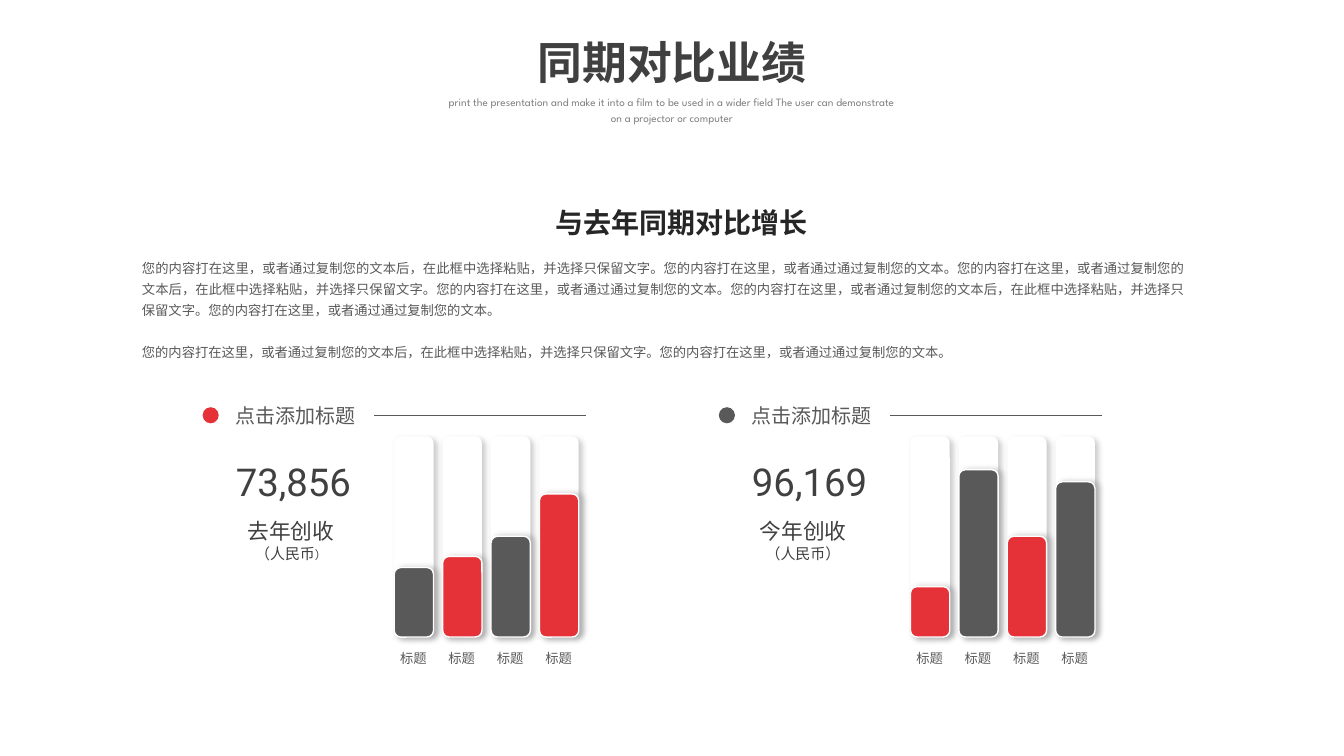
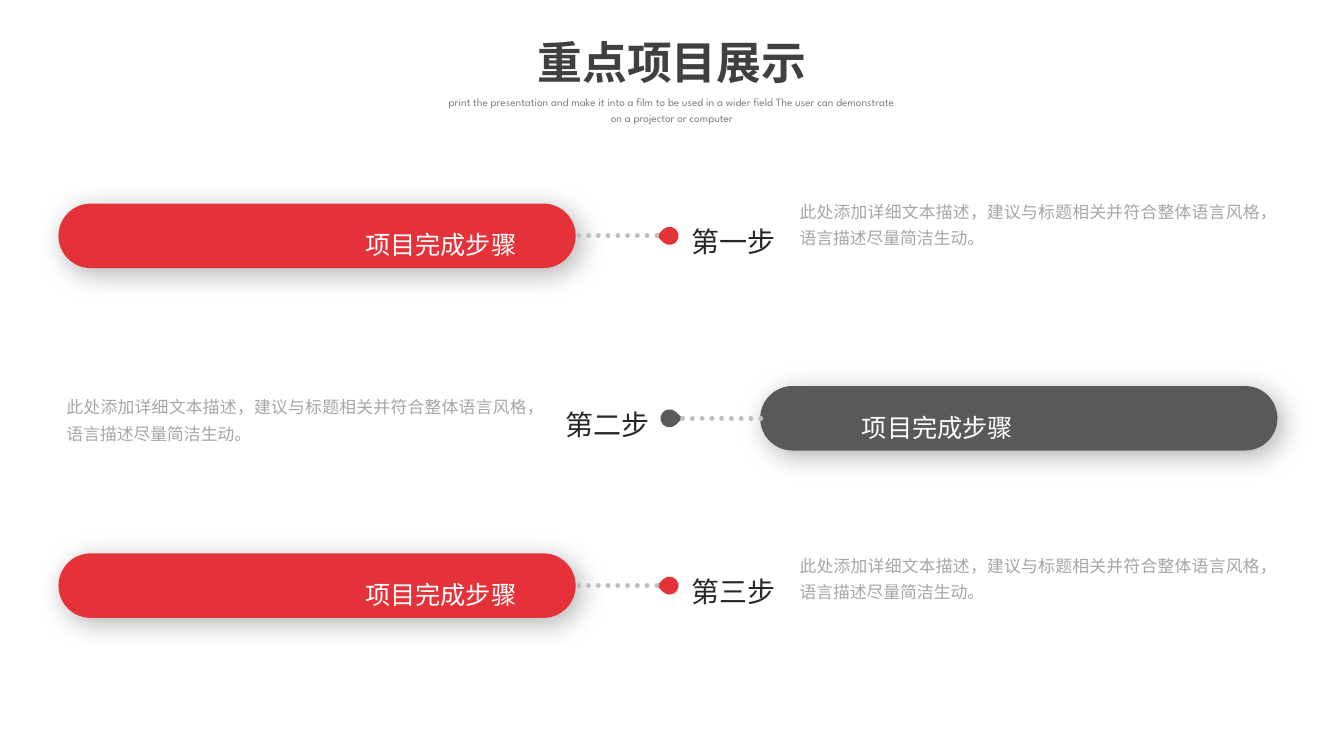
from lxml.etree import SubElement
from pptx import Presentation
from pptx.dml.color import RGBColor
from pptx.enum.dml import MSO_LINE_DASH_STYLE as Dash
from pptx.enum.shapes import MSO_CONNECTOR as Connector, MSO_SHAPE as Shape
from pptx.enum.text import MSO_ANCHOR as Anchor, MSO_AUTO_SIZE as AutoSize, PP_ALIGN as Align
from pptx.oxml.ns import qn
from pptx.util import Inches, Pt

RED, GREY, DARK, BLACK = "E53238", "595959", "404040", "262626"
WHITE, MID, PALE, DOTS = "FFFFFF", "808080", "A6A6A6", "BFBFBF"
CJK, DISPLAY, DIGITS = "Noto Sans CJK SC", "League Spartan", "Roboto"
SUBTITLE = ("print the presentation and make it into a film to be used in a wider field "
            "The user can demonstrate on a projector or computer")
PASTE = "您的内容打在这里，或者通过复制您的文本后，在此框中选择粘贴，并选择只保留文字。"
COPY = "您的内容打在这里，或者通过通过复制您的文本。"
DESCRIPTION = "此处添加详细文本描述，建议与标题相关并符合整体语言风格，语言描述尽量简洁生动。"


def color(value):
    """Turn a hex string into a colour."""
    return RGBColor.from_string(value)


class Deck:
    """The shared style together with the slide being filled."""

    def __init__(self):
        """Start an empty widescreen presentation."""
        self.deck = Presentation()
        self.deck.slide_width, self.deck.slide_height = Inches(13.33), Inches(7.5)
        self.page = None

    def add_page(self, title):
        """Add a slide with its title and subtitle."""
        self.page = self.deck.slides.add_slide(self.deck.slide_layouts[5])
        box = self.page.shapes.title
        box.left, box.top = Inches(4.33), Inches(0.29)
        box.width, box.height = Inches(4.67), Inches(0.64)
        self.fill_text(box, [title], 32, DARK, DISPLAY, Align.CENTER, bold=True)
        self.text(4.33, 0.87, 4.67, 0.42, [SUBTITLE], 8, MID, DISPLAY, Align.CENTER, spacing=1.2)

    def fill_text(self, box, paras, size, hue, font=CJK, align=Align.LEFT, spacing=1.0,
                  bold=False, wrap=True, inset=None, gap=0):
        """Fill a box with paragraphs, each a string or a list of (text, size)."""
        frame = box.text_frame
        frame.word_wrap = wrap
        frame.auto_size = AutoSize.SHAPE_TO_FIT_TEXT
        frame.vertical_anchor = Anchor.TOP
        if inset is not None:
            frame.margin_left = frame.margin_right = Inches(inset)
            frame.margin_top = frame.margin_bottom = Inches(inset)
        for index, spans in enumerate(paras):
            para = frame.add_paragraph() if index else frame.paragraphs[0]
            para.alignment, para.line_spacing = align, spacing
            if index and gap:
                para.space_before = Pt(gap)
            for words, points in [(spans, size)] if isinstance(spans, str) else spans:
                span = para.add_run()
                span.text = words
                span.font.name, span.font.size, span.font.bold = font, Pt(points), bold
                span.font.color.rgb = color(hue)
                SubElement(span.font._element, qn("a:ea")).set("typeface", CJK)

    def text(self, left, top, width, height, paras, size, hue, *style, **options):
        """Add a text box."""
        box = self.page.shapes.add_textbox(Inches(left), Inches(top), Inches(width), Inches(height))
        self.fill_text(box, paras, size, hue, *style, **options)

    def shape(self, kind, left, top, width, height, fill, outline=None, shadow=None,
              corner=None, turn=0):
        """Add a filled shape; shadow is (hex, opacity, blur, distance, angle)."""
        shape = self.page.shapes.add_shape(kind, Inches(left), Inches(top),
                                           Inches(width), Inches(height))
        shape.rotation = turn
        shape.fill.solid()
        shape.fill.fore_color.rgb = color(fill)
        if outline:
            shape.line.color.rgb = color(outline)
            shape.line.width = Pt(1)
        else:
            shape.line.fill.background()
        if corner is not None:
            shape.adjustments[0] = corner
        shape.shadow.inherit = False
        if shadow:
            hue, opacity, blur, distance, angle = shadow
            effects = shape._element.spPr.find(qn("a:effectLst"))
            outer = SubElement(effects, qn("a:outerShdw"), blurRad=str(Pt(blur)),
                               dist=str(Pt(distance)), dir=str(angle * 60000), rotWithShape="0")
            tint = SubElement(outer, qn("a:srgbClr"), val=hue)
            SubElement(tint, qn("a:alpha"), val=str(opacity * 1000))

    def line(self, start, end, y, hue, weight, dotted=False):
        """Add a horizontal line."""
        line = self.page.shapes.add_connector(Connector.STRAIGHT, Inches(start), Inches(y),
                                              Inches(end), Inches(y))
        line.line.color.rgb = color(hue)
        line.line.width = Pt(weight)
        if dotted:
            line.line.dash_style = Dash.ROUND_DOT
            line._element.spPr.find(qn("a:ln")).set("cap", "rnd")
        SubElement(line._element.spPr, qn("a:effectLst"))

    def panel(self, left, hue, number, caption_left, caption, heights, hues):
        """Add a revenue figure with its four bars."""
        self.shape(Shape.OVAL, left, 4.04, 0.16, 0.16, hue)
        self.text(left + 0.23, 3.95, 1.4, 0.34, ["点击添加标题"], 14.3, GREY, wrap=False)
        self.line(left + 1.7, left + 3.8, 4.12, GREY, 0.75)
        self.text(left + 0.23, 4.5, 1.54, 0.56, [number], 27.4, DARK, DIGITS, wrap=False)
        base, track, width = 6.32, 1.99, 0.39
        lefts = [left + 1.9 + 0.48 * index for index in range(len(heights))]
        for x in lefts:
            self.shape(Shape.ROUNDED_RECTANGLE, x, base - track, width, track, WHITE,
                       shadow=(MID, 40, 4, 3, 45))
        for x, height, fill in zip(lefts, heights, hues):
            self.shape(Shape.ROUNDED_RECTANGLE, x, base - height, width, height, fill,
                       outline=WHITE, shadow=(MID, 40, 4, 3, 0))
            self.text(x - 0.04, 6.4, 0.47, 0.26, ["标题"], 9.5, GREY, wrap=False)
        self.text(caption_left, 5.09, 1.07, 0.54, caption, 15.5, DARK, align=Align.CENTER,
                  wrap=False)

    def step(self, top, name, hue, description_top, mirrored=False):
        """Add a project step, with its pill on the right when mirrored."""
        if mirrored:
            turn, pill, dots, name_left, label, note = 45, 7.54, 6.77, 3.82, 8.45, 0.66
            name_align, label_align = Align.RIGHT, Align.LEFT
        else:
            turn, pill, dots, name_left, label, note = 225, 0.58, 5.74, 6.76, 0.52, 7.93
            name_align, label_align = Align.LEFT, Align.RIGHT
        self.shape(Shape.TEAR, 6.55, top + 0.23, 0.18, 0.18, hue, turn=turn)
        self.shape(Shape.ROUNDED_RECTANGLE, pill, top, 5.13, 0.64, hue, corner=0.5,
                   shadow=("000000", 30, 20, 5, 45))
        self.line(dots, dots + 0.8, top + 0.32, DOTS, 3.5, dotted=True)
        self.text(name_left, top + 0.06, 2.72, 0.5, [name], 20, BLACK, align=name_align,
                  spacing=1.3)
        self.text(label, top + 0.12, 4.7, 0.46, ["项目完成步骤"], 18, WHITE, align=label_align,
                  spacing=1.3)
        self.text(note, description_top, 4.74, 0.74, [DESCRIPTION], 12, PALE,
                  align=Align.JUSTIFY, spacing=1.3, inset=0)


def main():
    """Build both slides and save them."""
    deck = Deck()

    deck.add_page("同期对比业绩")
    deck.text(5.42, 2.04, 2.68, 0.34, ["与去年同期对比增长"], 20, BLACK, DIGITS, Align.CENTER,
              bold=True, inset=0)
    deck.text(1.31, 2.49, 10.54, 1.14, [(PASTE + COPY) * 3, PASTE + COPY], 9.5, GREY,
              align=Align.JUSTIFY, spacing=1.3, gap=15)
    deck.panel(2.01, RED, "73,856", 2.35, ["去年创收", [("（人民币", 10.7), ("）", 8.3)]],
               [0.69, 0.8, 1, 1.42], [GREY, RED] * 2)
    deck.panel(7.13, GREY, "96,169", 7.43, ["今年创收", [("（人民币）", 10.7)]],
               [0.5, 1.66, 1, 1.54], [RED, GREY] * 2)

    deck.add_page("重点项目展示")
    deck.step(2.02, "第一步", RED, 1.94)
    deck.step(3.83, "第二步", GREY, 3.88, mirrored=True)
    deck.step(5.49, "第三步", RED, 5.45)

    deck.deck.save("out.pptx")


if __name__ == "__main__":
    main()
